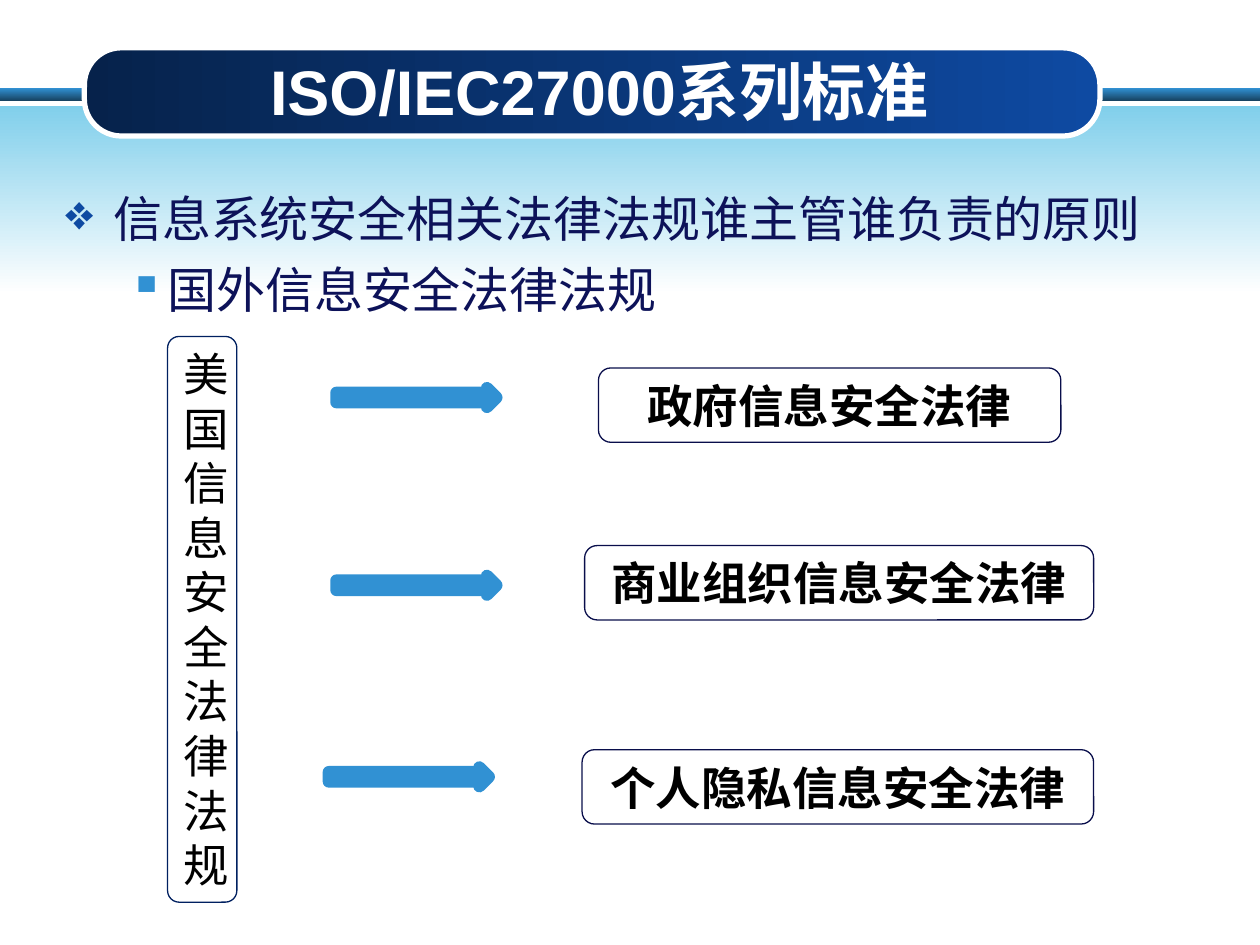
"""Build a slide on information security laws under the ISO/IEC27000 standards."""
from lxml.etree import SubElement
from pptx import Presentation
from pptx.dml.color import RGBColor
from pptx.enum.shapes import MSO_SHAPE
from pptx.enum.text import MSO_ANCHOR, PP_ALIGN
from pptx.oxml.ns import qn
from pptx.util import Pt

PX = 9144
COLORS = {
    "white": "FFFFFF", "black": "000000", "navy": "0D1259", "blue": "3191D3",
    "deep": "174362", "sky": "81CFEB", "midnight": "06224B", "royal": "0E4AA2",
    "frame": "002060", "edge": "090E4B",
}


def rgb(name):
    return RGBColor.from_string(COLORS[name])


def write(p, text, size=26, color="black", font="Times New Roman", bold=False,
          align=PP_ALIGN.LEFT, before=0, level=0, bullet=None, indent=(0, 0)):
    p.alignment, p.level = align, level
    if bullet:
        char, bullet_color = bullet
        margin, first = indent
        pPr = p._p.get_or_add_pPr()
        pPr.set("marL", str(margin * PX))
        pPr.set("indent", str(first * PX))
        clr = SubElement(pPr, qn("a:buClr"))
        SubElement(clr, qn("a:srgbClr"), val=COLORS[bullet_color])
        SubElement(pPr, qn("a:buChar"), char=char)
    if before:
        p.space_before = Pt(before)
    r = p.add_run()
    r.text = text
    r.font.size, r.font.name, r.font.bold = Pt(size), font, bold
    r.font.color.rgb = rgb(color)


class Deck:
    def __init__(self, width, height):
        self.prs = Presentation()
        self.prs.slide_width, self.prs.slide_height = width * PX, height * PX
        self.s = self.prs.slides.add_slide(self.prs.slide_layouts[6])

    def shape(self, kind, box, fill=None, angle=0, line=None, weight=1, adj=None):
        sp = self.s.shapes.add_shape(kind, *(v * PX for v in box))
        sp.shadow.inherit = False
        if isinstance(fill, tuple):
            sp.fill.gradient()
            sp.fill.gradient_angle = angle
            for stop, name in zip(sp.fill.gradient_stops, fill):
                stop.color.rgb = rgb(name)
        elif fill:
            sp.fill.solid()
            sp.fill.fore_color.rgb = rgb(fill)
        else:
            sp.fill.background()
        if line:
            sp.line.color.rgb = rgb(line)
            sp.line.width = Pt(weight)
        else:
            sp.line.fill.background()
        if adj is not None:
            sp.adjustments[0] = adj
        return sp

    def band(self, box, fill):
        self.shape(MSO_SHAPE.RECTANGLE, box, fill, angle=270)

    def arrow(self, box):
        self.shape(MSO_SHAPE.RIGHT_ARROW, box, "blue", line="blue", weight=7)

    def label(self, text, box, line="edge", bold=True):
        sp = self.shape(MSO_SHAPE.ROUNDED_RECTANGLE, box, line=line, weight=0.75, adj=0.167)
        tf = sp.text_frame
        tf.word_wrap, tf.vertical_anchor = True, MSO_ANCHOR.TOP
        write(tf.paragraphs[0], text, bold=bold, align=PP_ALIGN.CENTER)

    def text(self, box, anchor=MSO_ANCHOR.TOP):
        tf = self.s.shapes.add_textbox(*(v * PX for v in box)).text_frame
        tf.word_wrap, tf.vertical_anchor = True, anchor
        return tf


def main():
    deck = Deck(1000, 750)
    deck.band((0, 70, 1000, 10), ("blue", "deep"))
    deck.band((0, 84, 1000, 149), ("sky", "white"))
    deck.shape(MSO_SHAPE.ROUNDED_RECTANGLE, (67, 38, 806, 70), ("midnight", "royal"),
               line="white", weight=3, adj=0.419)
    write(deck.text((92, 41, 767, 62), MSO_ANCHOR.MIDDLE).paragraphs[0],
          "ISO/IEC27000系列标准", size=36, color="white", font="Arial", bold=True,
          align=PP_ALIGN.CENTER)

    tf = deck.text((42, 145, 929, 110))
    body = {"size": 28, "color": "navy", "font": "Arial"}
    write(tf.paragraphs[0], "信息系统安全相关法律法规谁主管谁负责的原则",
          bullet=("❖", "royal"), indent=(38, -38), **body)
    write(tf.add_paragraph(), "国外信息安全法律法规", before=7, level=1,
          bullet=("▪", "blue"), indent=(81, -31), **body)

    deck.label("美国信息安全法律法规", (133, 267, 55, 449), line="frame", bold=False)
    laws = [
        ("政府信息安全法律", (267, 308), (475, 292, 367)),
        ("商业组织信息安全法律", (267, 457), (464, 433, 404)),
        ("个人隐私信息安全法律", (261, 609), (462, 595, 406)),
    ]
    for law, arrow_at, label_at in laws:
        deck.arrow((*arrow_at, 127, 15))
        deck.label(law, (*label_at, 59))
    deck.prs.save("out.pptx")


if __name__ == "__main__":
    main()
